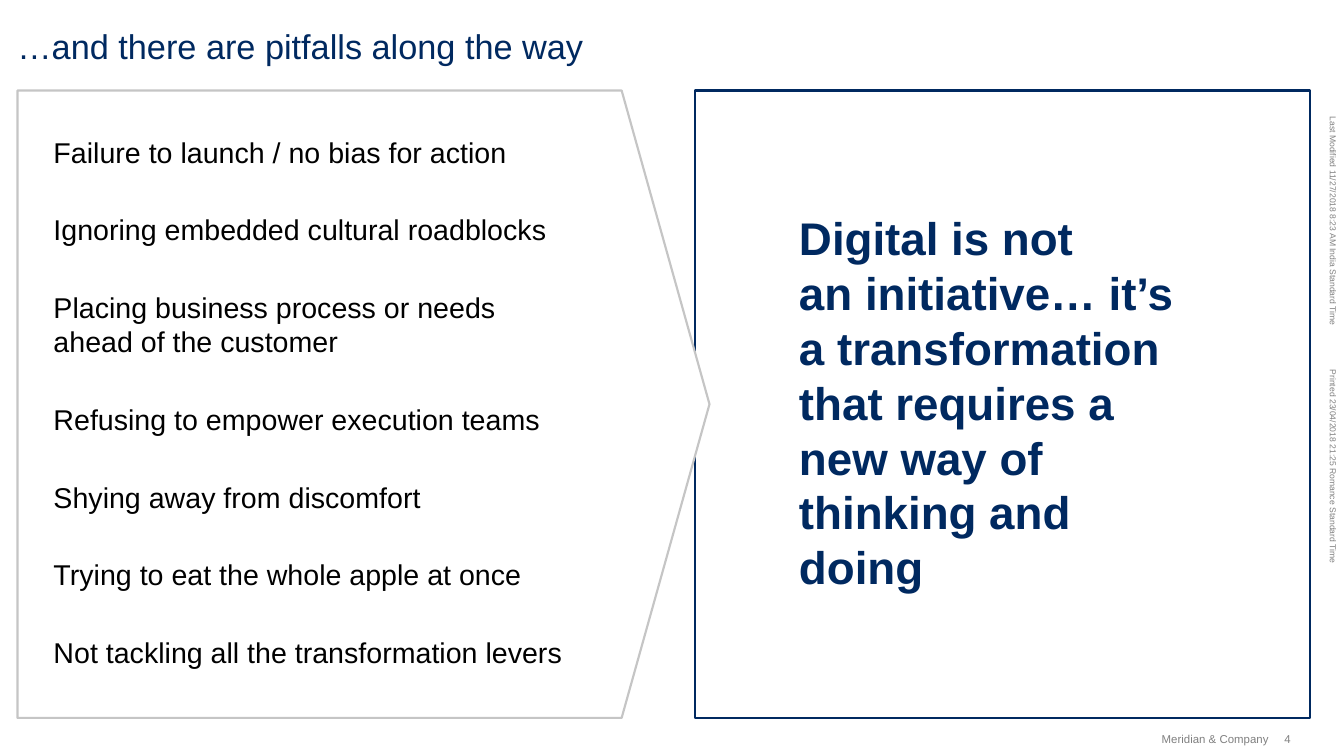
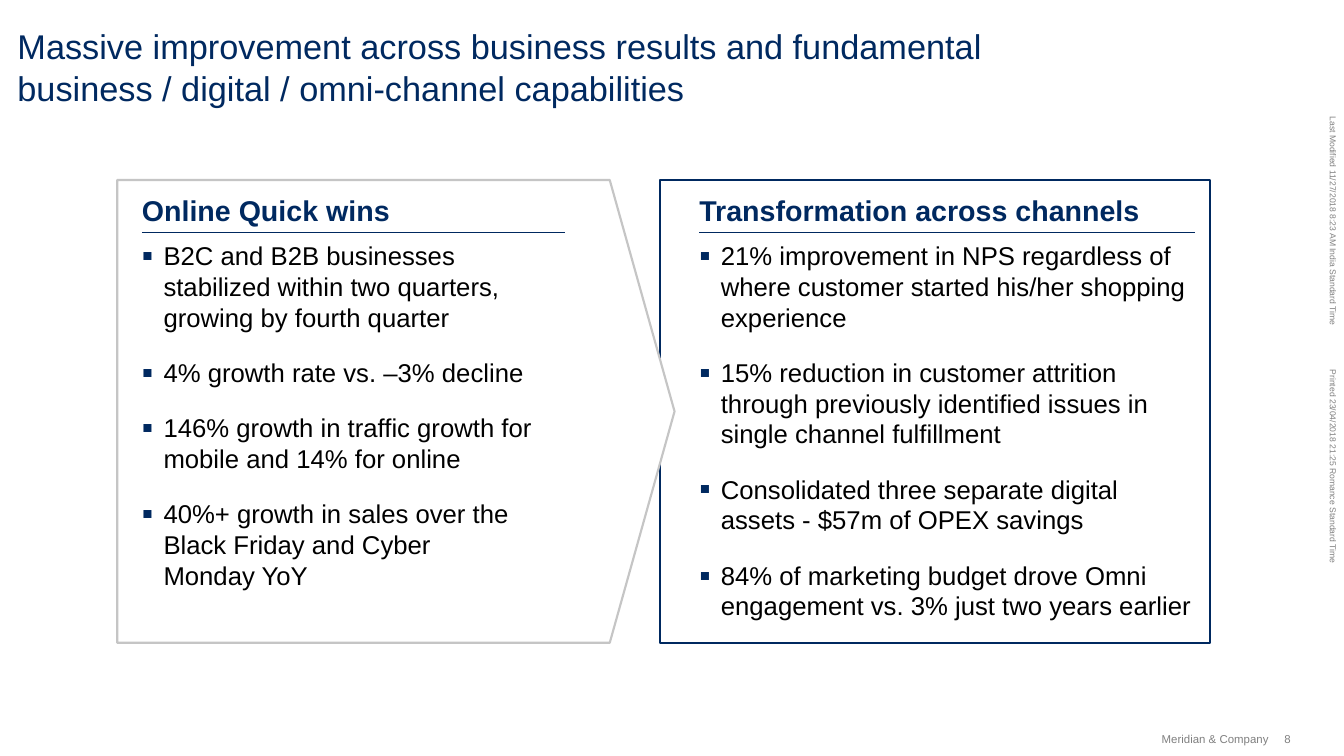
from dataclasses import dataclass

import pptx
import pptx.dml.color
import pptx.enum.shapes
import pptx.enum.text
import pptx.oxml
import pptx.oxml.ns
import pptx.util
from lxml import etree


@dataclass(frozen=True)
class Theme:
    font: str = "Arial"
    navy: str = "002960"
    silver: str = "C5C5C5"
    gray: str = "808080"
    black: str = "000000"
    white: str = "FFFFFF"
    title: int = 24
    statement: int = 32
    heading: int = 20
    bullet: int = 18
    footer: int = 8
    stamp: int = 6
    outline: float = 1.5
    rule: float = 0.75


THEME = Theme()
ALIGN = pptx.enum.text.PP_ALIGN
ANCHOR = pptx.enum.text.MSO_ANCHOR
SHAPE = pptx.enum.shapes.MSO_SHAPE
rgb = pptx.dml.color.RGBColor.from_string

deck = pptx.Presentation()
deck.slide_width = pptx.util.Inches(13.07)
deck.slide_height = pptx.util.Inches(7.35)


def place(left, top, width, height):
    """Turn percentages of the slide's width and height into lengths."""
    column, row = deck.slide_width / 100, deck.slide_height / 100
    return [round(share * unit) for share, unit in
            zip((left, top, width, height), (column, row, column, row))]


def write(slide, area, paragraphs, size, color, bold=False, bullets=False,
          wrap=True, align=ALIGN.LEFT, anchor=ANCHOR.TOP):
    """Add a text box without margins; a newline breaks a line."""
    box = slide.shapes.add_textbox(*place(*area))
    frame = box.text_frame
    frame.margin_left = frame.margin_top = 0
    frame.margin_right = frame.margin_bottom = 0
    frame.word_wrap = wrap
    frame.vertical_anchor = anchor
    for index, text in enumerate(paragraphs):
        paragraph = frame.paragraphs[0] if index == 0 else frame.add_paragraph()
        paragraph.alignment = align
        if bullets:
            if index:
                paragraph.space_before = pptx.util.Pt(17)
            indent = pptx.util.Inches(0.21)
            properties = paragraph._p.get_or_add_pPr()
            properties.set("marL", str(indent))
            properties.set("indent", str(-indent))
            tag = pptx.oxml.ns.qn
            bullet_color = etree.SubElement(properties, tag("a:buClr"))
            etree.SubElement(bullet_color, tag("a:srgbClr"), val=THEME.navy)
            etree.SubElement(properties, tag("a:buSzPct"), val="125000")
            etree.SubElement(properties, tag("a:buFont"), typeface=THEME.font)
            etree.SubElement(properties, tag("a:buChar"), char="▪")
        for position, line in enumerate(text.split("\n")):
            if position:
                paragraph.add_line_break()
            run = paragraph.add_run()
            run.text = line
            run.font.name = THEME.font
            run.font.size = pptx.util.Pt(size)
            run.font.bold = bold
            run.font.color.rgb = rgb(color)
    return box


# Frame of every slide: page number, title, then result panel and arrow panel
pages = [
    ("4", "…and there are pitfalls along the way",
     (51.72, 11.97, 45.75, 82.99), (1.3, 11.97, 51.49, 82.99)),
    ("8", "Massive improvement across business results and fundamental\n"
     "business / digital / omni-channel capabilities",
     (49.12, 23.81, 40.93, 61.22), (8.72, 23.81, 41.47, 61.22)),
]
stamps = [
    ("Last Modified 11/27/2018 8:23 AM India Standard Time",
     (91.28, 28.84, 15.84, 1.36)),
    ("Printed 23/04/2018 21:25 Romance Standard Time",
     (91.89, 61.22, 14.61, 1.36)),
]
slides = []
for number, title, result_area, arrow_area in pages:
    slide = deck.slides.add_slide(deck.slide_layouts[6])
    slides.append(slide)
    for stamp, area in stamps:
        write(slide, area, [stamp], THEME.stamp, THEME.gray, wrap=False).rotation = 90
    write(slide, (95.56, 96.87, 1.07, 1.77), [number], THEME.footer, THEME.gray,
          wrap=False, anchor=ANCHOR.MIDDLE)
    write(slide, (85.92, 96.87, 8.49, 1.77), ["Meridian & Company"], THEME.footer,
          THEME.gray, wrap=False, align=ALIGN.RIGHT, anchor=ANCHOR.MIDDLE)
    for outline, area, color in [(SHAPE.RECTANGLE, result_area, THEME.navy),
                                 (SHAPE.PENTAGON, arrow_area, THEME.silver)]:
        panel = slide.shapes.add_shape(outline, *place(*area))
        panel.shadow.inherit = False
        panel.fill.solid()
        panel.fill.fore_color.rgb = rgb(THEME.white)
        panel.line.color.rgb = rgb(color)
        panel.line.width = pptx.util.Pt(THEME.outline)
        if outline == SHAPE.PENTAGON:
            panel.adjustments[0] = 0.14
    write(slide, (1.3, 3.4, 96.17, 5.44), [title], THEME.title, THEME.navy)

pitfalls_slide, results_slide = slides

# Pitfalls: equal gaps, a two-line entry takes one more line
pitfalls = [
    "Failure to launch / no bias for action",
    "Ignoring embedded cultural roadblocks",
    "Placing business process or needs\nahead of the customer",
    "Refusing to empower execution teams",
    "Shying away from discomfort",
    "Trying to eat the whole apple at once",
    "Not tackling all the transformation levers",
]
line_height, gap = 4.56, 5.7
top = 17.82
for pitfall in pitfalls:
    height = line_height * (1 + pitfall.count("\n"))
    write(pitfalls_slide, (3.98, top, 38.71, height), [pitfall],
          THEME.heading, THEME.black)
    top += height + gap

write(pitfalls_slide, (59.45, 27.76, 30.3, 51.29),
      ["Digital is not\nan initiative… it’s a transformation that requires "
       "a new way of thinking and doing"],
      THEME.statement, THEME.navy, bold=True)

# Results: heading, rule and bullets in each panel
results = [
    ("Online Quick wins", 10.56, 31.45, [
        "B2C and B2B businesses stabilized within two quarters, "
        "growing by fourth quarter",
        "4% growth rate vs. –3% decline",
        "146% growth in traffic growth for mobile and 14% for online",
        "40%+ growth in sales over the Black Friday and Cyber\nMonday YoY",
    ]),
    ("Transformation across channels", 52.03, 36.88, [
        "21% improvement in NPS regardless of where customer started "
        "his/her shopping experience",
        "15% reduction in customer attrition through previously identified "
        "issues in single channel fulfillment",
        "Consolidated three separate digital assets - $57m of OPEX savings",
        "84% of marketing budget drove Omni engagement vs. 3% just two "
        "years earlier",
    ]),
]
for heading, left, width, points in results:
    write(results_slide, (left, 25.58, width, 4.63), [heading],
          THEME.heading, THEME.navy, bold=True)
    write(results_slide, (left, 31.7, width, 52.79), points,
          THEME.bullet, THEME.black, bullets=True)
    x, y, length, _ = place(left, 30.75, width, 0)
    rule = results_slide.shapes.add_connector(
        pptx.enum.shapes.MSO_CONNECTOR.STRAIGHT, x, y, x + length, y)
    rule.line.color.rgb = rgb(THEME.navy)
    rule.line.width = pptx.util.Pt(THEME.rule)
    etree.SubElement(rule._element.spPr, pptx.oxml.ns.qn("a:effectLst"))

deck.save("out.pptx")
